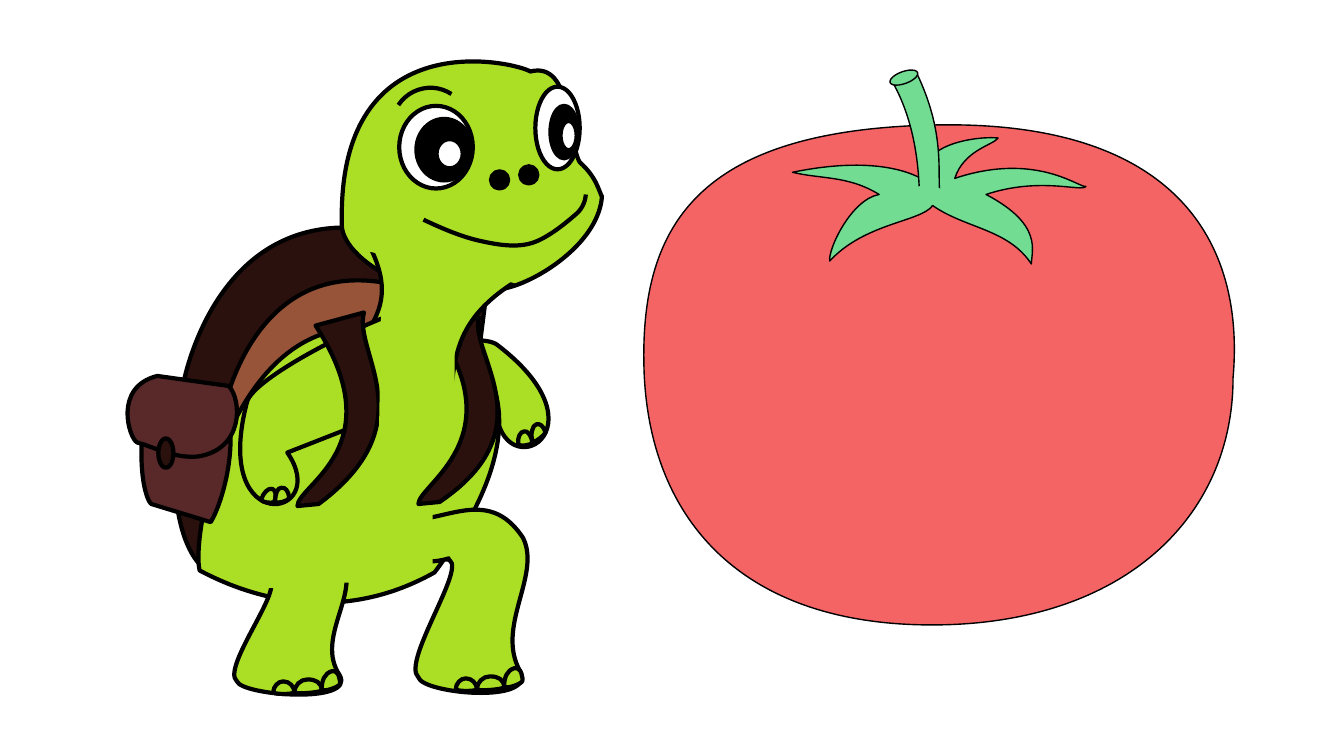
from lxml import etree
from pptx import Presentation
from pptx.dml.color import RGBColor
from pptx.enum.shapes import MSO_SHAPE
from pptx.oxml.ns import qn
from pptx.util import Pt

OVAL, ARC = MSO_SHAPE.OVAL, MSO_SHAPE.ARC
PX = 9144  # 100 px to the inch
STEPS = 24
BLACK, WHITE = "000000", "FFFFFF"
SKIN, DARK, TAN, BAG = "ABDF25", "2A110D", "975439", "592829"
RED, LEAF = "F46464", "72DD92"


def color(code):
    return RGBColor.from_string(code)


def curve(start, seg):
    """Points along a cubic curve, used to find the frame of the outline."""
    a, b, c, d = start, seg[:2], seg[2:4], seg[4:]
    for step in range(1, STEPS + 1):
        t = step / STEPS
        u = 1 - t
        yield tuple(u**3 * a[i] + 3 * u * u * t * b[i]
                    + 3 * u * t * t * c[i] + t**3 * d[i] for i in (0, 1))


class Canvas:
    def __init__(self, slide):
        self.slide = slide
        self.group = None
        self.width = 3

    def start(self, width):
        """Open a new group whose lines share one width."""
        self.group = self.slide.shapes.add_group_shape()
        self.width = width

    def paint(self, shape, fill, line):
        shape.shadow.inherit = False
        if fill:
            shape.fill.solid()
            shape.fill.fore_color.rgb = color(fill)
        else:
            shape.fill.background()
        if line:
            shape.line.color.rgb = color(line)
            shape.line.width = Pt(self.width)
        else:
            shape.line.fill.background()

    def preset(self, kind, box, fill, line=BLACK, turn=0):
        shape = self.group.shapes.add_shape(kind, *(v * PX for v in box))
        shape.rotation = turn
        self.paint(shape, fill, line)

    def oval(self, box, fill, line=BLACK, turn=0):
        self.preset(OVAL, box, fill, line, turn)

    def free(self, segs, fill, line=BLACK, shut=True, shift=(0, 0)):
        """Outline: a start point, then lines (x, y) or cubic curves (6 values)."""
        segs = [tuple((v + shift[i % 2]) * PX for i, v in enumerate(seg))
                for seg in segs]
        spots = [segs[0]]
        for seg in segs[1:]:
            spots.extend(curve(spots[-1], seg) if len(seg) == 6 else [seg])
        maker = self.group.shapes.build_freeform(*segs[0], scale=1.0)
        maker.add_line_segments([(round(x), round(y)) for x, y in spots[1:]],
                                close=shut)
        shape = maker.convert_to_shape()
        self.bend(shape, segs[1:], shut)
        self.paint(shape, fill, line)

    def bend(self, shape, segs, shut):
        """Swap the sampled points for true curves."""
        track = shape._element.find(".//" + qn("a:path"))
        for node in list(track)[1:]:
            track.remove(node)
        for seg in segs:
            tag = "a:cubicBezTo" if len(seg) == 6 else "a:lnTo"
            node = etree.SubElement(track, qn(tag))
            for x, y in zip(seg[::2], seg[1::2]):
                etree.SubElement(node, qn("a:pt"), x=str(x - shape.left),
                                 y=str(y - shape.top))
        if shut:
            etree.SubElement(track, qn("a:close"))


def turtle(art):
    art.start(3)
    # Shell, rim and head
    art.free([(180, 391), (182, 371, 231, 127, 485, 271), (452, 530),
              (232, 574), (167, 578, 166, 451, 180, 391)], DARK)
    art.free([(219, 421), (221, 404, 262, 193, 473, 317), (446, 541),
              (263, 580), (208, 582, 207, 473, 219, 421)], TAN)
    art.free([(339, 221), (335, 19, 512, 62, 526, 71),
              (568, 60, 563, 141, 575, 161), (592, 176, 594, 190, 597, 195),
              (594, 237, 543, 273, 509, 284),
              (420, 311, 336, 256, 339, 221)], SKIN)
    # Far arm and body
    art.free([(493, 342), (476, 329, 382, 346, 330, 362), (393, 436),
              (492, 406), (497, 485, 606, 428, 493, 342)], SKIN)
    art.free([(198, 566), (189, 526, 233, 307, 373, 327),
              (387, 367, 454, 364, 472, 354), (507, 393, 509, 464, 431, 568),
              (333, 623, 243, 590, 198, 566)], SKIN)
    # Bag, flap and button
    art.free([(148, 377), (220, 385), (241, 438, 219, 502, 209, 518),
              (150, 500), (145, 496, 132, 461, 148, 377)], BAG)
    art.free([(156, 373), (227, 383), (240, 397, 242, 446, 196, 453),
              (173, 455, 154, 444, 136, 439),
              (128, 435, 112, 384, 156, 373)], BAG)
    art.oval((157, 435, 15, 29), DARK)
    # Far strap
    art.free([(432, 325), (475, 315), (465, 351, 544, 425, 436, 498),
              (415, 500), (415, 481, 510, 435, 432, 325)], DARK)
    # Mouth, eye whites, nostrils and brow
    art.free([(420, 218), (439, 227, 458, 235, 476, 239),
              (494, 243, 512, 246, 528, 241), (544, 236, 564, 219, 573, 211),
              (581, 203, 581, 193, 581, 193)], None, shut=False)
    for box in ((396, 105, 73, 82), (531, 86, 44, 82)):
        art.oval(box, WHITE)
    for box in ((487, 170, 17, 17), (516, 165, 17, 17)):
        art.oval(box, BLACK)
    art.preset(ARC, (389, 87, 76, 76), None, turn=303.3)
    # Neck, near arm and near strap
    art.free([(367, 245), (522, 273), (436, 321, 456, 370, 442, 412),
              (340, 414), (332, 330, 407, 325, 367, 245)], SKIN)
    art.free([(245, 399), (250, 378, 334, 333, 386, 313), (382, 411),
              (285, 449), (330, 514, 209, 536, 245, 399)], SKIN)
    art.free([(313, 323), (361, 310), (350, 350, 424, 420, 316, 500),
              (295, 502), (295, 481, 391, 443, 313, 323)], DARK)
    # Pupils and glints
    for box, fill in (((413, 118, 55, 61), BLACK), ((433, 138, 26, 29), WHITE),
                      ((546, 105, 27, 52), BLACK), ((556, 120, 16, 29), WHITE)):
        art.oval(box, fill)
    # Legs
    art.free([(519, 534), (483, 478, 435, 524, 397, 514), (408, 537),
              (404, 572, 458, 549, 442, 555), (470, 553, 397, 656, 415, 672),
              (419, 688, 532, 699, 516, 666),
              (491, 622, 537, 571, 519, 534)], SKIN)
    art.free([(339, 557), (304, 509, 256, 549, 217, 540), (228, 560),
              (225, 590, 278, 570, 263, 575), (290, 574, 218, 662, 235, 676),
              (240, 690, 353, 699, 337, 670),
              (312, 633, 358, 589, 339, 557)], SKIN)
    # Neck joins
    art.free([(378, 312), (397, 304, 427, 312, 451, 311), (451, 422),
              (376, 422), (378, 312)], SKIN, None)
    art.free([(363, 249), (360, 227), (526, 267),
              (529, 271, 528, 274, 511, 281), (363, 249)], SKIN, None)
    # Toes, the same on both feet
    toes = ([(452, 684), (452, 678, 457, 673, 462, 673),
             (468, 673, 473, 678, 473, 684), (471, 686, 454, 686, 452, 684)],
            [(500, 682), (500, 674, 494, 671, 486, 671),
             (479, 671, 473, 677, 473, 684), (475, 686, 498, 684, 500, 682)],
            [(518, 676), (519, 673, 517, 661, 510, 663),
             (503, 665, 500, 672, 500, 681), (502, 684, 516, 679, 518, 676)])
    for shift in ((0, 0), (-181, 3)):
        for toe in toes:
            art.free(toe, SKIN, shift=shift)
    # Leg joins
    art.free([(390, 512), (400, 508, 416, 511, 429, 511), (429, 563),
              (389, 563), (390, 512)], SKIN, None)
    art.free([(211, 527), (246, 523, 306, 527, 351, 526), (351, 578),
              (306, 577, 271, 591, 227, 577),
              (226, 561, 200, 536, 211, 527)], SKIN, None)
    # Fingers
    for tip in ([(272, 498), (275, 491, 273, 486, 270, 485),
                 (266, 484, 261, 489, 259, 496), (259, 498, 270, 500, 272, 498)],
                [(287, 494), (286, 487, 283, 483, 279, 484),
                 (275, 484, 273, 490, 273, 498), (275, 500, 286, 497, 287, 494)],
                [(528, 438), (526, 431, 528, 422, 532, 421),
                 (535, 420, 539, 422, 541, 429), (540, 432, 530, 440, 528, 438)],
                [(514, 441), (513, 434, 516, 428, 520, 428),
                 (523, 427, 527, 432, 528, 439), (527, 442, 515, 443, 514, 441)]):
        art.free(tip, SKIN)


def tomato(art):
    art.start(1)
    # Fruit
    art.free([(639, 372), (633, 225, 690, 129, 927, 124),
              (1165, 119, 1235, 239, 1223, 375),
              (1223, 512, 1116, 619, 927, 620),
              (738, 621, 646, 518, 639, 372)], RED)
    # Leaves
    art.free([(786, 171), (859, 156, 899, 168, 917, 179),
              (910, 140, 976, 135, 990, 137), (985, 144, 956, 149, 947, 177),
              (1028, 150, 1071, 187, 1077, 185),
              (1073, 191, 1032, 175, 978, 193),
              (1035, 223, 1023, 249, 1023, 262),
              (1000, 227, 958, 227, 925, 204), (914, 220, 858, 221, 823, 259),
              (821, 248, 844, 198, 872, 193),
              (841, 174, 815, 178, 786, 171)], LEAF)
    # Stem with its cut end and foot
    art.free([(885, 81), (909, 72), (937, 130, 930, 169, 932, 190),
              (912, 188), (911, 183, 912, 128, 885, 81)], LEAF)
    art.oval((882, 71, 29, 12), LEAF, turn=340.2)
    art.oval((906, 184, 29, 12), LEAF, None, 3.5)


def main():
    deck = Presentation()
    deck.slide_width, deck.slide_height = 1333 * PX, 750 * PX
    art = Canvas(deck.slides.add_slide(deck.slide_layouts[6]))
    turtle(art)
    tomato(art)
    deck.save("out.pptx")


if __name__ == "__main__":
    main()
